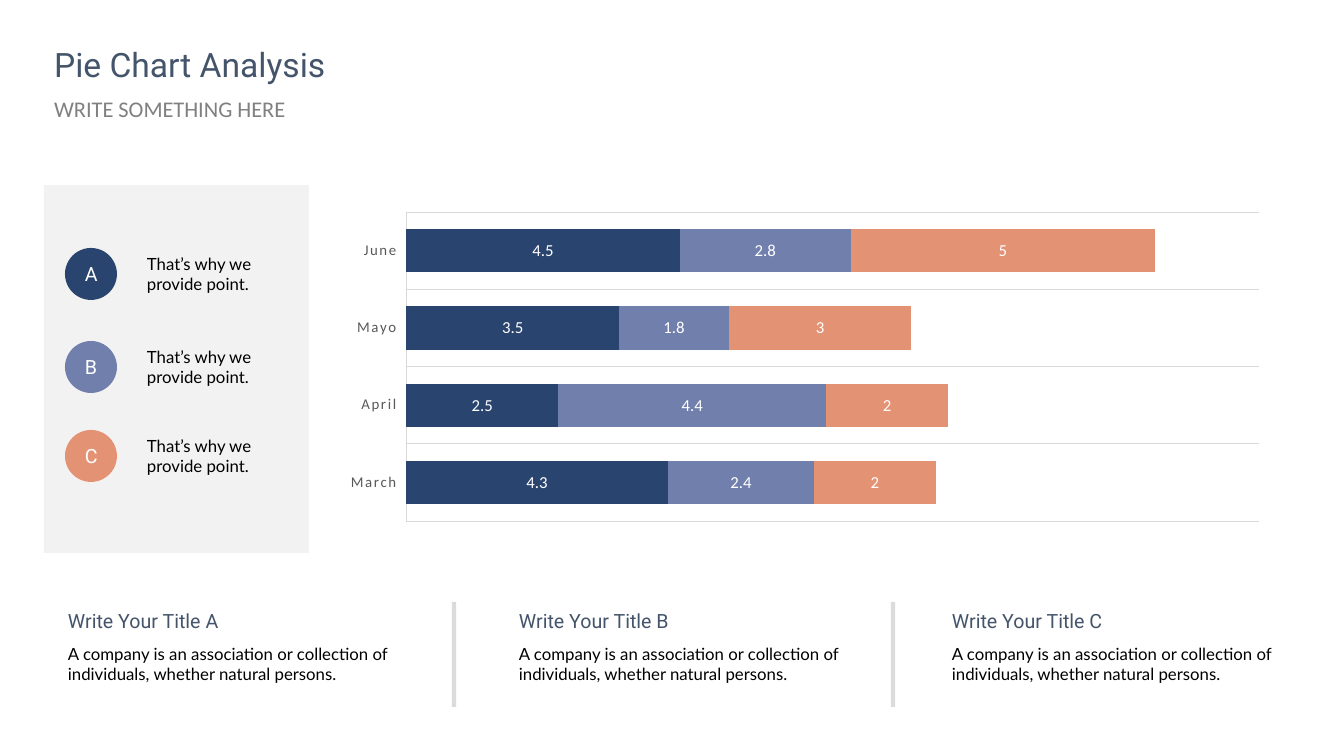
from lxml import etree
from pptx import Presentation
from pptx.chart.data import CategoryChartData
from pptx.dml.color import RGBColor
from pptx.enum.chart import XL_CHART_TYPE, XL_LABEL_POSITION, XL_TICK_LABEL_POSITION, XL_TICK_MARK
from pptx.enum.shapes import MSO_CONNECTOR, MSO_SHAPE
from pptx.enum.text import MSO_ANCHOR, MSO_AUTO_SIZE, PP_ALIGN
from pptx.oxml import parse_xml
from pptx.oxml.ns import nsdecls, qn
from pptx.util import Pt

RECT, OVAL = MSO_SHAPE.RECTANGLE, MSO_SHAPE.OVAL
STRAIGHT = MSO_CONNECTOR.STRAIGHT
LEFT, CENTER = PP_ALIGN.LEFT, PP_ALIGN.CENTER
TOP = MSO_ANCHOR.TOP
NO_FIT = MSO_AUTO_SIZE.NONE
BAR_STACKED = XL_CHART_TYPE.BAR_STACKED
LABEL_CENTER = XL_LABEL_POSITION.CENTER
TICK_NONE = XL_TICK_MARK.NONE
TICK_LOW = XL_TICK_LABEL_POSITION.LOW

COLORS = {
    "heading": "44546A", "gray": "808080", "black": "000000", "white": "FFFFFF",
    "panel": "F2F2F2", "grid": "D9D9D9", "axis": "595959",
    "A": "29446F", "B": "717FAC", "C": "E39274",
}
RGB = {name: RGBColor.from_string(code) for name, code in COLORS.items()}
SCALE = 12192000 / 1344


def px(*lengths):
    return [round(n * SCALE) for n in lengths]


def write(sp, text, size=12, font="Lato", color="black", align=LEFT):
    tf = sp.text_frame
    tf.word_wrap = True
    tf.auto_size = NO_FIT
    tf.vertical_anchor = TOP
    p = tf.paragraphs[0]
    p.alignment = align
    p.line_spacing = 1.0
    p.space_before = Pt(0)
    r = p.add_run()
    r.text = text
    r.font.size = Pt(size)
    r.font.name = font
    r.font.color.rgb = RGB[color]


prs = Presentation()
prs.slide_width, prs.slide_height = px(1344, 756)
s = prs.slides.add_slide(prs.slide_layouts[0])

panel = s.shapes.add_shape(RECT, *px(44, 185, 265, 368))
panel.shadow.inherit = False
panel.fill.solid()
panel.fill.fore_color.rgb = RGB["panel"]
panel.line.fill.background()

title, subtitle = s.placeholders
title.left, title.top, title.width, title.height = px(44, 39, 327, 50)
write(title, "Pie Chart Analysis", size=24, font="Roboto", color="heading")
subtitle.left, subtitle.top, subtitle.width, subtitle.height = px(44, 90, 294, 37)
write(subtitle, "WRITE SOMETHING HERE", size=16, font="Calibri", color="gray")

data = CategoryChartData()
data.categories = ["March", "April", "Mayo", "June"]
data.add_series("Series 1", [4.3, 2.5, 3.5, 4.5])
data.add_series("Series 2", [2.4, 4.4, 1.8, 2.8])
data.add_series("Series 3", [2, 2, 3, 5])
chart = s.shapes.add_chart(BAR_STACKED, *px(309, 185, 972, 340), data).chart
chart.has_legend = False
chart.has_title = False
chart.font.name = "Calibri"
chart.font.size = Pt(10)
chart.font.color.rgb = RGB["black"]

plot = chart.plots[0]
plot.gap_width = 79
plot.overlap = 46
plot.vary_by_categories = False
for series, key in zip(plot.series, "ABC"):
    series.format.fill.solid()
    series.format.fill.fore_color.rgb = RGB[key]
    labels = series.data_labels
    labels.show_value = True
    labels.position = LABEL_CENTER
    labels.font.name = "Calibri"
    labels.font.size = Pt(12)
    labels.font.color.rgb = RGB["white"]

months = chart.category_axis
months.has_major_gridlines = True
months.major_tick_mark = TICK_NONE
months.minor_tick_mark = TICK_NONE
months.tick_label_position = TICK_LOW
for line in (months.format.line, months.major_gridlines.format.line):
    line.color.rgb = RGB["grid"]
    line.width = Pt(0.75)
font = months.tick_labels.font
font.name = "Calibri"
font.size = Pt(10.6)
font.color.rgb = RGB["axis"]
months._element.find(".//" + qn("a:defRPr")).set("spc", "120")

values = chart.value_axis
values.visible = False
values.has_major_gridlines = False
values.minimum_scale = 0
values.maximum_scale = 14

plot_area = chart._chartSpace.chart.plotArea
for old in plot_area.findall(qn("c:layout")):
    plot_area.remove(old)
plot_area.insert(0, parse_xml(
    f'<c:layout {nsdecls("c")}><c:manualLayout><c:layoutTarget val="inner"/>'
    '<c:xMode val="edge"/><c:yMode val="edge"/><c:x val="0.1"/><c:y val="0.08"/>'
    '<c:w val="0.877"/><c:h val="0.909"/></c:manualLayout></c:layout>'))

for key, top in zip("ABC", (248, 341, 430)):
    group = s.shapes.add_group_shape()
    circle = group.shapes.add_shape(OVAL, *px(65, top, 52, 52))
    circle.shadow.inherit = False
    circle.fill.solid()
    circle.fill.fore_color.rgb = RGB[key]
    circle.line.fill.background()
    letter = group.shapes.add_textbox(*px(75, top + 9, 32, 34))
    write(letter, key, size=14, font="Roboto", color="white", align=CENTER)
    point = group.shapes.add_textbox(*px(137, top + 1, 153, 50))
    write(point, "That’s why we provide point.")

for key, left in zip("ABC", (58, 509, 942)):
    body = s.shapes.add_textbox(*px(left, 639, 395, 50))
    write(body, "A company is an association or collection of individuals, whether natural persons.")
    heading = s.shapes.add_textbox(*px(left, 604, 252, 34))
    write(heading, f"Write Your Title {key}", size=14, font="Roboto", color="heading")

for x in (454, 893):
    divider = s.shapes.add_connector(STRAIGHT, *px(x, 602, x, 707))
    divider.line.color.rgb = RGB["gray"]
    divider.line.width = Pt(3)
    properties = divider._element.spPr
    gray = properties.find(".//" + qn("a:srgbClr"))
    etree.SubElement(gray, qn("a:alpha")).set("val", "28000")
    etree.SubElement(properties, qn("a:effectLst"))

prs.save("out.pptx")
